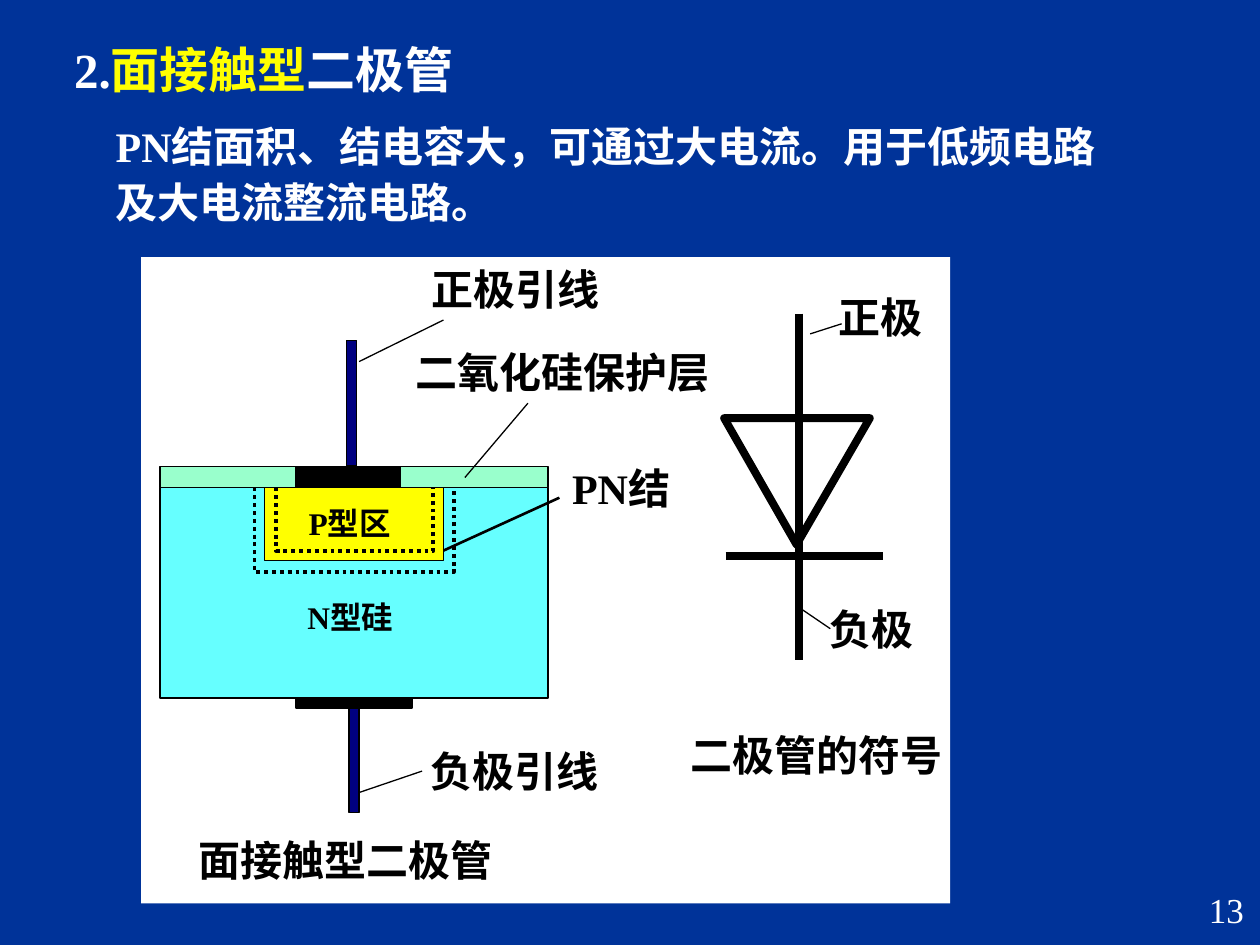
import lxml.etree
import pptx
import pptx.dml.color
import pptx.enum.dml
import pptx.enum.shapes
import pptx.enum.text
import pptx.oxml.ns
import pptx.util

Inches = pptx.util.Inches
Pt = pptx.util.Pt
SHAPE = pptx.enum.shapes.MSO_SHAPE
ALIGN = pptx.enum.text.PP_ALIGN
ANCHOR = pptx.enum.text.MSO_ANCHOR
FIT = pptx.enum.text.MSO_AUTO_SIZE

COLOURS = {
    "blue": "003399", "white": "FFFFFF", "black": "000000", "yellow": "FFFF00",
    "cyan": "66FFFF", "mint": "99FFCC", "navy": "000080",
}


class Sheet:
    """Holds the style and the current slide, and draws each kind of element."""

    def __init__(self, page, font):
        self.page = page
        self.font = font
        fill = page.background.fill
        fill.solid()
        fill.fore_color.rgb = self.colour("blue")

    def colour(self, name):
        return pptx.dml.color.RGBColor.from_string(COLOURS[name])

    def apply(self, target, values):
        for name, value in values.items():
            setattr(target, name, value)

    def finish(self, box, fill, line, width):
        box.shadow.inherit = False
        if fill:
            box.fill.solid()
            box.fill.fore_color.rgb = self.colour(fill)
        else:
            box.fill.background()
        if line:
            box.line.color.rgb = self.colour(line)
            box.line.width = Pt(width)
        else:
            box.line.fill.background()

    def shape(self, place, fill=None, line="black", width=0.75, kind=SHAPE.RECTANGLE, turn=0):
        box = self.page.shapes.add_shape(kind, *map(Inches, place))
        self.finish(box, fill, line, width)
        box.rotation = turn

    def dotted(self, points):
        start, *rest = [tuple(map(Inches, point)) for point in points]
        builder = self.page.shapes.build_freeform(*start)
        builder.add_line_segments(rest, close=False)
        box = builder.convert_to_shape()
        self.finish(box, None, "black", 2.25)
        box.line.dash_style = pptx.enum.dml.MSO_LINE.ROUND_DOT

    def line(self, ends, width=0.75):
        straight = pptx.enum.shapes.MSO_CONNECTOR.STRAIGHT
        link = self.page.shapes.add_connector(straight, *map(Inches, ends))
        link.line.color.rgb = self.colour("black")
        link.line.width = Pt(width)
        lxml.etree.SubElement(link._element.spPr, pptx.oxml.ns.qn("a:effectLst"))

    def text(self, place, spans, size, bold=True, frame=None, para=None):
        box = self.page.shapes.add_textbox(*map(Inches, place))
        layout = {"word_wrap": True, "auto_size": FIT.SHAPE_TO_FIT_TEXT,
                  "vertical_anchor": ANCHOR.MIDDLE}
        self.apply(box.text_frame, {**layout, **(frame or {})})
        line = box.text_frame.paragraphs[0]
        self.apply(line, para or {})
        for words, colour in spans:
            span = line.add_run()
            span.text = words
            self.apply(span.font, {"name": self.font, "size": Pt(size), "bold": bold})
            span.font.color.rgb = self.colour(colour)

    def label(self, place, words, size=24):
        self.text(place, [(words, "black")], size,
                  frame={"word_wrap": False}, para={"alignment": ALIGN.CENTER})


def draw_symbol(sheet):
    sheet.shape((5.6, 3.07, 1.16, 1), width=4.5, kind=SHAPE.ISOSCELES_TRIANGLE, turn=300.1)
    for ends in [(5.76, 4.41, 7.01, 4.41), (6.34, 2.49, 6.34, 5.24)]:
        sheet.line(ends, 4.5)
    for ends in [(6.43, 2.65, 6.68, 2.57), (6.34, 4.82, 6.59, 4.99)]:
        sheet.line(ends)
    sheet.label((5.38, 5.74, 2.2, 0.5), "二极管的符号")
    sheet.label((6.54, 2.26, 0.9, 0.5), "正极")
    sheet.label((6.47, 4.74, 0.9, 0.5), "负极")


def draw_structure(sheet):
    layers = [
        ((1.27, 3.87, 3.08, 1.67), "cyan"),
        ((2.1, 3.87, 1.42, 0.58), "yellow"),
        ((1.27, 3.7, 3.08, 0.17), "mint"),
        ((2.35, 3.7, 0.83, 0.17), "black"),
        ((2.35, 5.54, 0.92, 0.08), "black"),
        ((2.75, 2.7, 0.08, 1), "navy"),
        ((2.77, 5.62, 0.08, 0.83), "navy"),
    ]
    for place, fill in layers:
        sheet.shape(place, fill)
    for left, right, bottom in [(2.02, 3.6, 4.54), (2.19, 3.44, 4.37)]:
        sheet.dotted([(left, 3.87), (left, bottom), (right, bottom), (right, 3.87)])
    for ends in [(2.85, 2.87, 3.52, 2.54), (4.19, 3.2, 3.69, 3.79), (2.85, 6.29, 3.35, 6.12)]:
        sheet.line(ends)
    sheet.line((3.52, 4.37, 4.44, 3.95), 1.5)
    sheet.label((3.33, 2.04, 1.53, 0.5), "正极引线")
    sheet.label((3.2, 2.7, 2.53, 0.5), "二氧化硅保护层")
    sheet.label((4.4, 3.62, 1.06, 0.5), "PN结")
    sheet.label((2.32, 3.95, 0.91, 0.4), "P型区", 18)
    sheet.label((2.31, 4.7, 0.94, 0.4), "N型硅", 18)
    sheet.label((3.32, 5.87, 1.53, 0.5), "负极引线")
    sheet.label((1.48, 6.57, 2.53, 0.5), "面接触型二极管")


def main():
    deck = pptx.Presentation()
    deck.slide_width, deck.slide_height = Inches(10), Inches(7.5)
    sheet = Sheet(deck.slides.add_slide(deck.slide_layouts[6]), "Times New Roman")
    sheet.shape((1.12, 2.04, 6.42, 5.13), "white", None)
    draw_symbol(sheet)
    draw_structure(sheet)
    title = [("2.", "white"), ("面接触型", "yellow"), ("二极管", "white")]
    sheet.text((0.49, 0.26, 4.72, 0.57), title, 28)
    summary = "PN结面积、结电容大，可通过大电流。用于低频电路及大电流整流电路。"
    sheet.text((0.82, 0.87, 8.13, 0.98), [(summary, "white")], 24,
               frame={"vertical_anchor": ANCHOR.TOP}, para={"line_spacing": 1.1})
    sheet.text((7.89, 7, 2.08, 0.5), [("13", "white")], 20, bold=False,
               frame={"vertical_anchor": ANCHOR.TOP, "auto_size": FIT.NONE},
               para={"alignment": ALIGN.RIGHT})
    deck.save("out.pptx")


if __name__ == "__main__":
    main()
